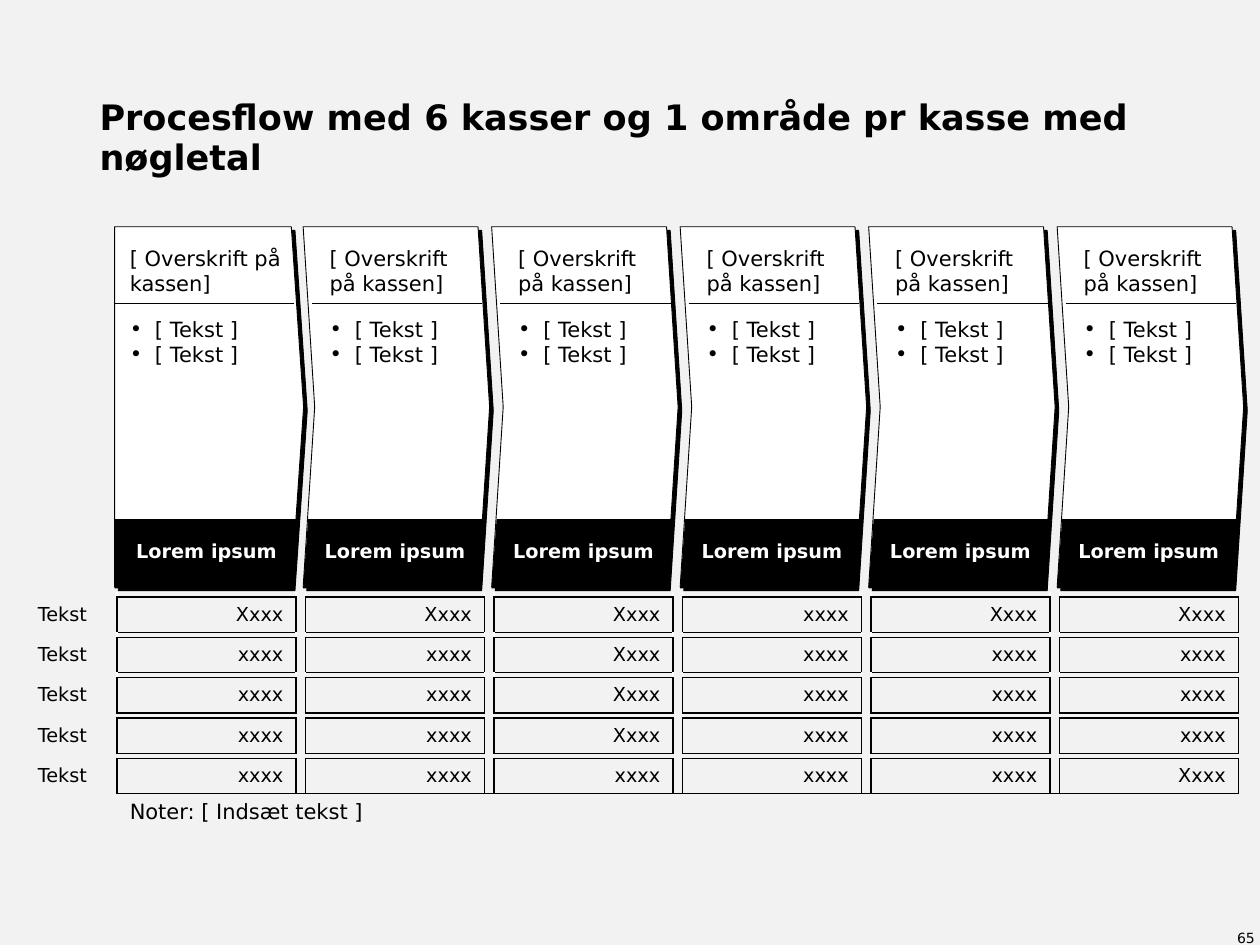
from dataclasses import dataclass
from lxml import etree
from pptx import Presentation
from pptx.dml.color import RGBColor
from pptx.enum.shapes import MSO_CONNECTOR, MSO_SHAPE
from pptx.enum.text import MSO_ANCHOR, PP_ALIGN
from pptx.oxml.ns import qn
from pptx.util import Inches, Pt

LEFT, CENTER, RIGHT = PP_ALIGN.LEFT, PP_ALIGN.CENTER, PP_ALIGN.RIGHT
TOP, MIDDLE, BOTTOM = MSO_ANCHOR.TOP, MSO_ANCHOR.MIDDLE, MSO_ANCHOR.BOTTOM
PLATE, CHEVRON = MSO_SHAPE.PENTAGON, MSO_SHAPE.CHEVRON
FONT = "DejaVu Sans"
COLORS = {"ground": "F2F2F2", "ink": "000000", "paper": "FFFFFF"}

# Grid of the key figures
BOXES = 6
TABLE_X, TABLE_Y, TABLE_W = 0.2, 4.06, 9.63
LABEL_W, FIGURE_W = 0.73, 1.42
GAP_W = (TABLE_W - LABEL_W - BOXES * FIGURE_W) / (BOXES - 1)
HEAD_H, FIGURE_H, GAP_H, NOTE_H = 0.64, 0.28, 0.04, 0.3

# Grid of the process boxes, in step with the figure columns
BOX_LEFT, BOX_TOP, BOX_H, PITCH = 0.91, 1.8, 2.86, FIGURE_W + GAP_W
RULE_Y, FOOT_TOP, FOOT_BOTTOM = 2.41, 4.12, 4.67

FIGURES = [
    ["Xxxx", "Xxxx", "Xxxx", "xxxx", "Xxxx", "Xxxx"],
    ["xxxx", "xxxx", "Xxxx", "xxxx", "xxxx", "xxxx"],
    ["xxxx", "xxxx", "Xxxx", "xxxx", "xxxx", "xxxx"],
    ["xxxx", "xxxx", "Xxxx", "xxxx", "xxxx", "xxxx"],
    ["xxxx", "xxxx", "xxxx", "xxxx", "xxxx", "Xxxx"],
]
NOTE_ROW = 2 * len(FIGURES) + 1
WHITE_ROWS = (1, 3, 5)
SIDES = {"L": (0, -1), "R": (0, 1), "T": (-1, 0), "B": (1, 0)}


@dataclass
class BoxStyle:
    """Offsets from the left edge of a process box, in inches."""
    shape: int
    adj: float
    width: float
    rule: tuple
    text_x: float
    text_w: float
    foot: tuple  # top left, top right, bottom right


FIRST = BoxStyle(PLATE, 0.065, 1.5, (0, 1.42), 0.04, 1.38, (0, 1.45, 1.41))
NEXT = BoxStyle(CHEVRON, 0.062, 1.48, (0.07, 1.42), 0.13, 1.31, (0.04, 1.44, 1.4))


def rgb(name: str) -> RGBColor:
    return RGBColor.from_string(COLORS[name])


def write(tf, lines, *, size=12, bold=False, color="ink", align=LEFT,
          spacing=None, bullet=False) -> None:
    for i, text in enumerate(lines):
        p = tf.paragraphs[0] if i == 0 else tf.add_paragraph()
        p.alignment = align
        if spacing:
            p.line_spacing = spacing
        if bullet:
            ppr = p._p.get_or_add_pPr()
            ppr.set("marL", str(Inches(0.2)))
            ppr.set("indent", str(-Inches(0.2)))
            etree.SubElement(ppr, qn("a:buFont"), typeface=FONT)
            etree.SubElement(ppr, qn("a:buChar"), char="•")
        r = p.add_run()
        r.text = text
        r.font.name, r.font.size, r.font.bold = FONT, Pt(size), bold
        r.font.color.rgb = rgb(color)


def text_box(shapes, x, y, w, h, lines, *, inset=(0, 0), anchor=TOP, **fmt) -> None:
    tf = shapes.add_textbox(*map(Inches, (x, y, w, h))).text_frame
    tf.word_wrap = True
    tf.vertical_anchor = anchor
    tf.margin_left = tf.margin_right = Inches(inset[0])
    tf.margin_top = tf.margin_bottom = Inches(inset[1])
    write(tf, lines, **fmt)


def hard_shadow(sp) -> None:
    effects = etree.SubElement(sp._element.spPr, qn("a:effectLst"))
    shadow = etree.SubElement(effects, qn("a:outerShdw"), blurRad="0",
                              dist=str(Pt(3)), dir=str(45 * 60000),
                              algn="tl", rotWithShape="0")
    etree.SubElement(shadow, qn("a:srgbClr"), val=COLORS["ink"])


def process_box(s, x: float, style: BoxStyle) -> None:
    shapes = s.shapes.add_group_shape().shapes
    # Arrow-shaped frame
    sp = shapes.add_shape(style.shape, *map(Inches, (x, BOX_TOP, style.width, BOX_H)))
    sp.adjustments[0] = style.adj
    sp.fill.solid()
    sp.fill.fore_color.rgb = rgb("paper")
    sp.line.color.rgb, sp.line.width = rgb("ink"), Pt(0.5)
    hard_shadow(sp)
    # Rule under the heading
    start, end = (Inches(x + dx) for dx in style.rule)
    rule = shapes.add_connector(MSO_CONNECTOR.STRAIGHT, start, Inches(RULE_Y),
                                end, Inches(RULE_Y))
    rule.line.color.rgb, rule.line.width = rgb("ink"), Pt(0.5)
    etree.SubElement(rule._element.spPr, qn("a:effectLst"))
    # Heading and bullets
    left, inset = x + style.text_x, (0.08, 0.06)
    text_box(shapes, left, 2.04, style.text_w, 0.37, ["[ Overskrift på kassen]"],
             inset=inset, anchor=BOTTOM)
    text_box(shapes, left, 2.45, style.text_w, 2.09, ["[ Tekst ]"] * 2,
             inset=inset, bullet=True)
    # Black foot
    a, b, c = (x + dx for dx in style.foot)
    corners = [(a, FOOT_TOP), (b, FOOT_TOP), (c, FOOT_BOTTOM), (x, FOOT_BOTTOM)]
    points = [(Inches(px), Inches(py)) for px, py in corners]
    fb = shapes.build_freeform(*points[0])
    fb.add_line_segments(points[1:], close=True)
    foot = fb.convert_to_shape()
    foot.shadow.inherit = False
    foot.fill.solid()
    foot.fill.fore_color.rgb = rgb("ink")
    foot.line.fill.background()


def is_figure(row: int, col: int) -> bool:
    return 2 <= row < NOTE_ROW and row % 2 == 0 and col % 2 == 1 and 0 < col < 2 * BOXES


def edge_color(row: int, col: int, side: str):
    dr, dc = SIDES[side]
    if is_figure(row, col) or is_figure(row + dr, col + dc):
        return "ink"
    if {row, row + dr} == {NOTE_ROW - 1, NOTE_ROW} and col > 0:
        return "ink"
    if row in WHITE_ROWS and dc and 0 <= col + dc < 2 * BOXES:
        return "paper"
    return None


def format_cell(cell, row: int, col: int) -> None:
    tcpr = cell._tc.get_or_add_tcPr()
    for side in SIDES:
        color = edge_color(row, col, side)
        ln = etree.SubElement(tcpr, qn(f"a:ln{side}"), w=str(Pt(1)))
        if color:
            fill = etree.SubElement(ln, qn("a:solidFill"))
            etree.SubElement(fill, qn("a:srgbClr"), val=COLORS[color])
        else:
            etree.SubElement(ln, qn("a:noFill"))
    cell.fill.background()
    if row % 2 and row < NOTE_ROW:  # narrow spacer rows
        cell.margin_top = cell.margin_bottom = 0
    elif 0 < row < NOTE_ROW:
        cell.margin_bottom = Inches(0.04)
    if col and col % 2 == 0:  # narrow spacer columns
        cell.margin_left = cell.margin_right = 0
    if not cell.text_frame.text:
        etree.SubElement(cell.text_frame.paragraphs[0]._p, qn("a:endParaRPr"), sz="100")


def key_figures(s) -> None:
    widths = [LABEL_W] + ([FIGURE_W, GAP_W] * BOXES)[:-1]
    heights = [HEAD_H] + [GAP_H, FIGURE_H] * len(FIGURES) + [NOTE_H]
    frame = s.shapes.add_table(len(heights), len(widths), Inches(TABLE_X), Inches(TABLE_Y),
                               Inches(TABLE_W), Inches(sum(heights)))
    table = frame.table
    table.first_row = table.horz_banding = False
    for column, width in zip(table.columns, widths):
        column.width = Inches(width)
    for row, height in zip(table.rows, heights):
        row.height = Inches(height)
    for i in range(BOXES):
        head = table.cell(0, 2 * i + 1)
        head.vertical_anchor = MIDDLE
        write(head.text_frame, ["Lorem ipsum"], size=11, bold=True, color="paper",
              align=CENTER)
    for i, figures in enumerate(FIGURES):
        row = 2 * i + 2
        write(table.cell(row, 0).text_frame, ["Tekst"], size=11)
        for j, figure in enumerate(figures):
            write(table.cell(row, 2 * j + 1).text_frame, [figure], size=11, align=RIGHT)
    note = table.cell(NOTE_ROW, 1)
    note.merge(table.cell(NOTE_ROW, len(widths) - 1))
    write(note.text_frame, ["Noter: [ Indsæt tekst ]"])
    for row in range(len(heights)):
        for col in range(len(widths)):
            format_cell(table.cell(row, col), row, col)


def main() -> None:
    prs = Presentation()
    prs.slide_width, prs.slide_height = Inches(10), Inches(7.5)
    s = prs.slides.add_slide(prs.slide_layouts[6])
    s.background.fill.solid()
    s.background.fill.fore_color.rgb = rgb("ground")
    for i in range(BOXES):
        process_box(s, BOX_LEFT + i * PITCH, NEXT if i else FIRST)
    # Title and page number
    text_box(s.shapes, 0.79, 0.59, 8.42, 0.83,
             ["Procesflow med 6 kasser og 1 område pr kasse med nøgletal"],
             anchor=BOTTOM, size=20, bold=True, spacing=0.96)
    text_box(s.shapes, 7.63, 7.36, 2.33, 0.15, ["65"], size=8, align=RIGHT, spacing=1.15)
    key_figures(s)
    prs.save("out.pptx")


if __name__ == "__main__":
    main()
